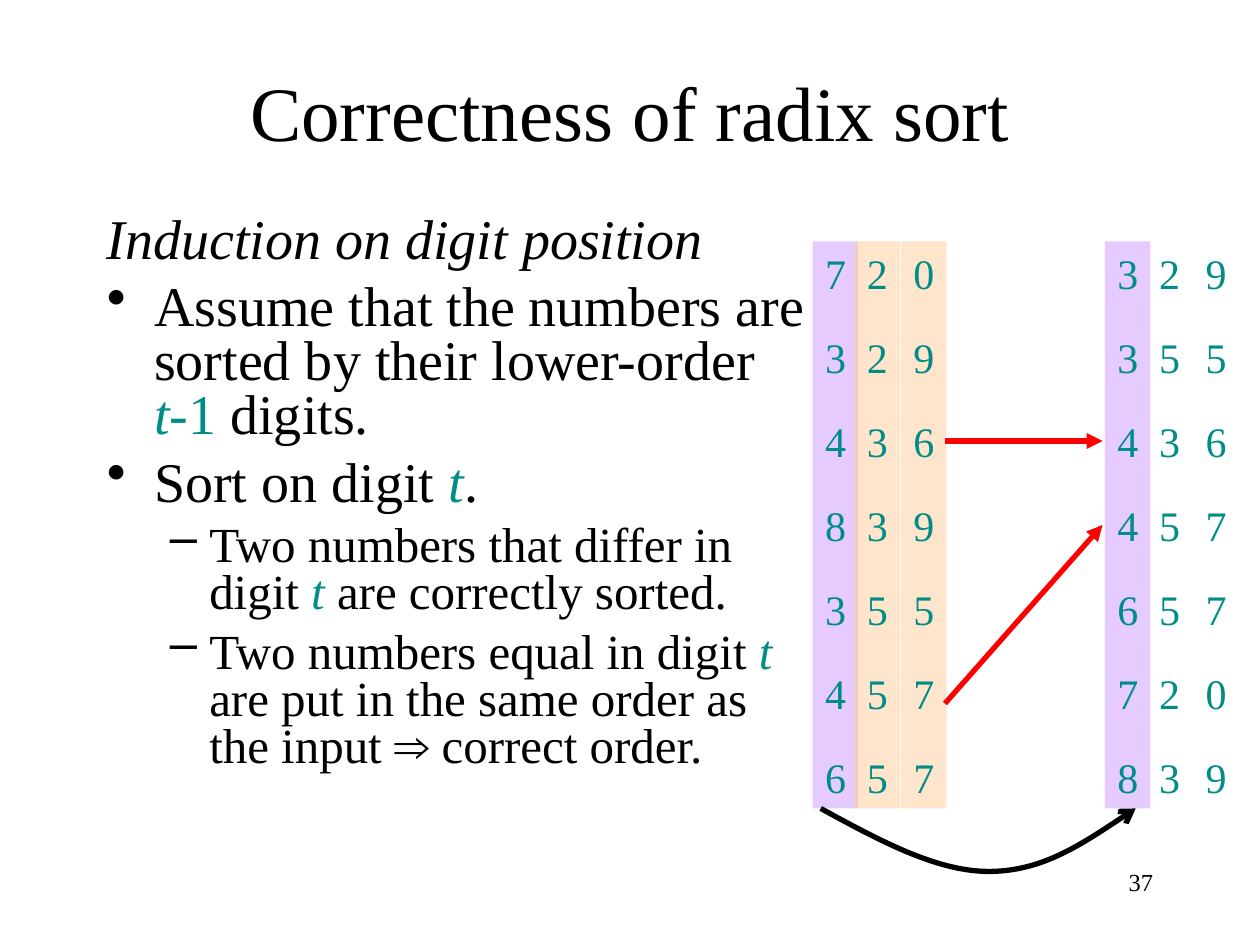
"""Build a slide on the correctness of radix sort."""
from typing import NamedTuple

from lxml import etree
from pptx import Presentation
from pptx.dml.color import RGBColor
from pptx.enum.shapes import MSO_CONNECTOR, MSO_SHAPE
from pptx.enum.text import MSO_ANCHOR, PP_ALIGN
from pptx.oxml.ns import qn
from pptx.util import Pt

RECTANGLE = MSO_SHAPE.RECTANGLE
STRAIGHT = MSO_CONNECTOR.STRAIGHT
TOP, MIDDLE = MSO_ANCHOR.TOP, MSO_ANCHOR.MIDDLE
LEFT, CENTER, RIGHT = PP_ALIGN.LEFT, PP_ALIGN.CENTER, PP_ALIGN.RIGHT

SERIF, SANS = "Times New Roman", "Arial"
BLACK, TEAL, RED = "000000", "008C87", "FF0000"
PURPLE, ORANGE = "CC99FF", "FFCC99"

NUMBERS = ["720", "329", "436", "839", "355", "457", "657"]
COLUMN_OFFSETS = [0, 23.8, 50.4]
COLUMN_TOP, COLUMN_WIDTH, COLUMN_HEIGHT = 138, 26, 324
DIGIT_GAP = 19.2


class Span(NamedTuple):
    text: str
    color: str = BLACK
    italic: bool = False
    font: str = SERIF


class Level(NamedTuple):
    bullet: str
    size: float
    left: float
    hanging: float
    before: float


class Line(NamedTuple):
    level: Level
    spans: list[Span]


class DigitTable(NamedTuple):
    left: float
    numbers: list[str]
    fills: list[str | None]


class Arrow(NamedTuple):
    start: tuple[float, float]
    end: tuple[float, float]


HEADING = Level("", 32, 27, 27, 0)
POINT = Level("•", 32, 27, 27, 8)
SUBPOINT = Level("–", 28, 58.5, 22.5, 7)
DIGIT = Span("t", TEAL, True)

LINES = [
    Line(HEADING, [Span("Induction on digit position", italic=True)]),
    Line(POINT, [Span("Assume that the numbers are sorted by their lower-order "),
                 DIGIT, Span("-1", TEAL), Span(" digits.")]),
    Line(POINT, [Span("Sort on digit "), DIGIT, Span(".")]),
    Line(SUBPOINT, [Span("Two numbers that differ in digit "), DIGIT,
                    Span(" are correctly sorted.")]),
    Line(SUBPOINT, [Span("Two numbers equal in digit "), DIGIT,
                    Span(" are put in the same order as the input "),
                    Span("⇒", font=SANS), Span(" correct order.")]),
]
TABLES = [
    DigitTable(464.4, NUMBERS, [PURPLE, ORANGE, ORANGE]),
    DigitTable(631.4, sorted(NUMBERS), [PURPLE, None, None]),
]
ARROWS = [Arrow((540, 252), (630, 252)), Arrow((540, 402), (630, 300))]
CURVE = [(469, 462), (502, 480), (535, 498), (565, 498),
         (595, 498), (622, 480), (649, 462)]


def rgb(color: str) -> RGBColor:
    return RGBColor.from_string(color)


def style_font(font, size: float, color: str, name: str = SERIF, italic: bool = False) -> None:
    font.size, font.name, font.italic = Pt(size), name, italic
    font.color.rgb = rgb(color)


def add_box(page, left: float, top: float, width: float, height: float,
            anchor=TOP, wrap: bool = True):
    box = page.shapes.add_textbox(Pt(left), Pt(top), Pt(width), Pt(height))
    box.text_frame.word_wrap = wrap
    box.text_frame.vertical_anchor = anchor
    return box


def add_label(box, text: str, size: float, align) -> None:
    para = box.text_frame.paragraphs[0]
    para.text = text
    para.alignment = align
    style_font(para.runs[0].font, size, BLACK)


def set_bullet(para, level: Level) -> None:
    properties = para._p.get_or_add_pPr()
    properties.set("marL", str(int(Pt(level.left))))
    properties.set("indent", str(int(Pt(-level.hanging))))
    if not level.bullet:
        etree.SubElement(properties, qn("a:buNone"))
        return
    tint = etree.SubElement(properties, qn("a:buClr"))
    etree.SubElement(tint, qn("a:srgbClr"), val=BLACK)
    etree.SubElement(properties, qn("a:buChar"), char=level.bullet)


def add_lines(box, lines: list[Line]) -> None:
    frame = box.text_frame
    for index, (level, spans) in enumerate(lines):
        para = frame.add_paragraph() if index else frame.paragraphs[0]
        set_bullet(para, level)
        para.line_spacing = 0.8
        para.space_before = Pt(level.before)
        for span in spans:
            run = para.add_run()
            run.text = span.text
            style_font(run.font, level.size, span.color, span.font, span.italic)


def add_column(page, left: float, digits: list[str], color: str | None) -> None:
    bounds = left, COLUMN_TOP, COLUMN_WIDTH, COLUMN_HEIGHT
    if color:
        column = page.shapes.add_shape(RECTANGLE, *map(Pt, bounds))
        column.shadow.inherit = False
        column.line.fill.background()
        column.fill.solid()
        column.fill.fore_color.rgb = rgb(color)
        tint = column.element.spPr.find(qn("a:solidFill"))[0]
        etree.SubElement(tint, qn("a:alpha"), val="50000")
        column.text_frame.word_wrap = False
        column.text_frame.vertical_anchor = TOP
    else:
        column = add_box(page, *bounds, wrap=False)
    column.text_frame.text = "\n".join(digits)
    for index, para in enumerate(column.text_frame.paragraphs):
        para.alignment = LEFT
        para.space_before = Pt(DIGIT_GAP if index else 0)
        style_font(para.runs[0].font, 24, TEAL)


def add_table(page, table: DigitTable) -> None:
    columns = zip(COLUMN_OFFSETS, zip(*table.numbers), table.fills)
    for offset, digits, color in columns:
        add_column(page, table.left + offset, list(digits), color)


def style_line(shape, color: str, head: str) -> None:
    shape.line.color.rgb = rgb(color)
    shape.line.width = Pt(3)
    etree.SubElement(shape.line._get_or_add_ln(), qn("a:tailEnd"), type=head)


def add_arrow(page, arrow: Arrow) -> None:
    line = page.shapes.add_connector(STRAIGHT, *map(Pt, arrow.start + arrow.end))
    style_line(line, RED, "triangle")
    etree.SubElement(line.element.spPr, qn("a:effectLst"))


def add_curve(page, points: list[tuple[float, float]]) -> None:
    start, *rest = [(Pt(x), Pt(y)) for x, y in points]
    builder = page.shapes.build_freeform(*start)
    builder.add_line_segments(rest, close=False)
    curve = builder.convert_to_shape()
    curve.shadow.inherit = False
    curve.fill.background()
    style_line(curve, BLACK, "arrow")
    segments = list(curve.element.iter(qn("a:lnTo")))
    outline = segments[0].getparent()
    for first in range(0, len(segments), 3):
        bezier = etree.SubElement(outline, qn("a:cubicBezTo"))
        for segment in segments[first:first + 3]:
            bezier.append(segment[0])
            outline.remove(segment)


def main() -> None:
    deck = Presentation()
    deck.slide_width, deck.slide_height = Pt(720), Pt(540)
    page = deck.slides.add_slide(deck.slide_layouts[6])
    add_label(add_box(page, 516, 492, 150, 36), "37", 14, RIGHT)
    add_label(add_box(page, 54, 18, 612, 90, MIDDLE), "Correctness of radix sort", 44, CENTER)
    add_lines(add_box(page, 54, 120, 414, 360), LINES)
    for table in TABLES:
        add_table(page, table)
    add_curve(page, CURVE)
    for arrow in ARROWS:
        add_arrow(page, arrow)
    deck.save("out.pptx")


if __name__ == "__main__":
    main()
